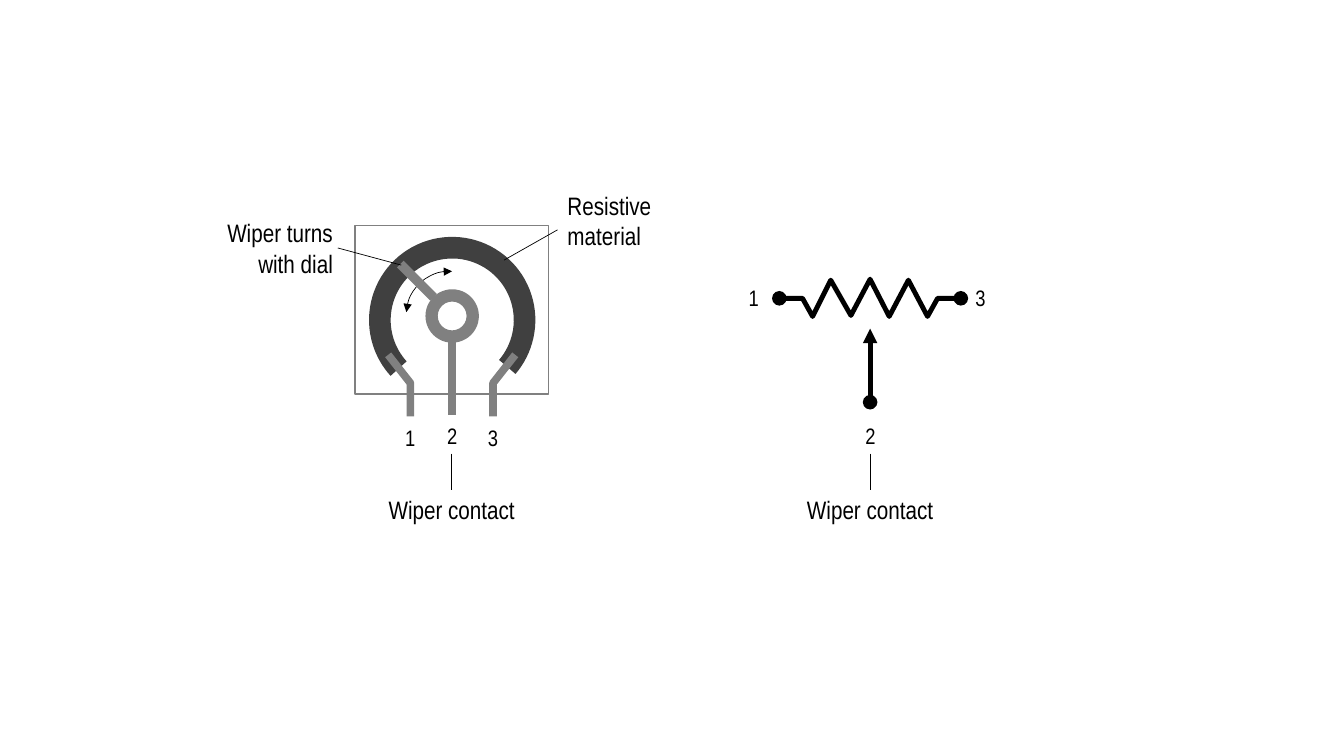
from dataclasses import dataclass

from lxml import etree
from pptx import Presentation
from pptx.dml.color import RGBColor
from pptx.enum.shapes import MSO_CONNECTOR, MSO_SHAPE
from pptx.enum.text import MSO_AUTO_SIZE, PP_ALIGN
from pptx.oxml.ns import qn
from pptx.shapes.autoshape import Shape
from pptx.shapes.connector import Connector
from pptx.shapes.shapetree import GroupShapes, SlideShapes
from pptx.util import Inches, Pt

STRAIGHT = MSO_CONNECTOR.STRAIGHT
RECTANGLE, DONUT = MSO_SHAPE.RECTANGLE, MSO_SHAPE.DONUT
ARC, BLOCK_ARC = MSO_SHAPE.ARC, MSO_SHAPE.BLOCK_ARC
LEFT, CENTER, RIGHT = PP_ALIGN.LEFT, PP_ALIGN.CENTER, PP_ALIGN.RIGHT
GROW = MSO_AUTO_SIZE.SHAPE_TO_FIT_TEXT

# The slide is a grid of 75 rows; every cell is a square.
ROWS = 75
CELL = Inches(7.5) / ROWS
DIAL_AXIS, SYMBOL_AXIS = 44.8, 86.3
PIN_GAP = 4.1
BLACK, GRAY, DARK = "000000", "808080", "404040"

Shapes = SlideShapes | GroupShapes
Point = tuple[float, float]


@dataclass(frozen=True)
class Stroke:
    color: str = BLACK
    width: float = 0.5
    head: str = ""
    tail: str = ""


@dataclass(frozen=True)
class Part:
    """A preset shape, placed in grid cells."""
    kind: MSO_SHAPE
    box: tuple[float, float, float, float]
    fill: str = ""
    stroke: Stroke | None = None
    rotation: float = 0
    adjustments: tuple[float, ...] = ()


@dataclass(frozen=True)
class Label:
    text: str
    x: float
    y: float
    width: float
    height: float = 3.7
    size: int = 16
    align: PP_ALIGN = CENTER


THIN = Stroke()
PIN = Stroke(GRAY, 5.5)
WIRE = Stroke(width=3.5, head="oval", tail="oval")
WIPER_ARROW = Stroke(width=3.5, head="oval", tail="triangle")

RESISTIVE_TRACK = Part(BLOCK_ARC, (36.6, 23.5, 16.5, 16.5), fill=DARK, rotation=42.6,
                       adjustments=(57.13, 214.69, 0.13))
DIAL_PARTS = [
    Part(RECTANGLE, (35.2, 22.4, 19.2, 16.7), stroke=Stroke(GRAY, 1)),
    Part(DONUT, (42.2, 28.7, 5.3, 5.3), fill=GRAY, adjustments=(0.23,)),
    Part(ARC, (40.3, 26.9, 8.6, 8.6), rotation=273.2,
         stroke=Stroke(head="triangle", tail="triangle")),
]
ZIGZAG = [(77.3, 29.6), (79.6, 29.6), (80.6, 31.4), (82.4, 27.8), (84.4, 31.3),
          (86.3, 27.7), (88.2, 31.4), (90.1, 27.8), (92, 31.4), (93, 29.6), (95.3, 29.6)]
CALLOUTS = [
    ((50, 25.8), (55.3, 22.8),
     Label("Resistive material", 55.3, 18.4, 11.8, 7.1, 18, LEFT)),
    ((33.5, 24.6), (39.8, 26.3),
     Label("Wiper turns with dial", 20.9, 21.1, 13.1, 7.1, 18, RIGHT)),
]


def emu(cells: float) -> int:
    return round(cells * CELL)


def rgb(color: str) -> RGBColor:
    return RGBColor.from_string(color)


def apply_stroke(shape: Shape | Connector, stroke: Stroke) -> None:
    shape.line.color.rgb = rgb(stroke.color)
    shape.line.width = Pt(stroke.width)
    ln = shape.line._get_or_add_ln()
    for tag, kind in (("a:headEnd", stroke.head), ("a:tailEnd", stroke.tail)):
        if kind:
            etree.SubElement(ln, qn(tag), type=kind)


def add_part(shapes: Shapes, part: Part) -> None:
    shape = shapes.add_shape(part.kind, *map(emu, part.box))
    shape.shadow.inherit = False
    shape.rotation = part.rotation
    for i, value in enumerate(part.adjustments):
        shape.adjustments[i] = value
    if part.fill:
        shape.fill.solid()
        shape.fill.fore_color.rgb = rgb(part.fill)
    else:
        shape.fill.background()
    if part.stroke:
        apply_stroke(shape, part.stroke)
    else:
        shape.line.fill.background()


def add_line(shapes: Shapes, start: Point, end: Point, stroke: Stroke = THIN) -> None:
    line = shapes.add_connector(STRAIGHT, *map(emu, start + end))
    apply_stroke(line, stroke)
    etree.SubElement(line._element.spPr, qn("a:effectLst"))


def add_polyline(shapes: Shapes, points: list[Point], stroke: Stroke) -> None:
    start, *rest = [(emu(x), emu(y)) for x, y in points]
    builder = shapes.build_freeform(*start)
    builder.add_line_segments(rest, close=False)
    shape = builder.convert_to_shape()
    shape.shadow.inherit = False
    shape.fill.background()
    apply_stroke(shape, stroke)


def add_label(shapes: Shapes, label: Label) -> None:
    box = (label.x, label.y, label.width, label.height)
    tf = shapes.add_textbox(*map(emu, box)).text_frame
    for name, value in {"word_wrap": True, "auto_size": GROW}.items():
        setattr(tf, name, value)
    p = tf.paragraphs[0]
    p.alignment = label.align
    r = p.add_run()
    r.text = label.text
    for name, value in {"name": "Arial Narrow", "size": Pt(label.size)}.items():
        setattr(r.font, name, value)
    r.font.color.rgb = rgb(BLACK)


def add_wiper_contact(shapes: Shapes, axis: float) -> None:
    """Terminal 2 with its leader and caption, centred on the axis."""
    add_label(shapes, Label("2", axis - 1.45, 41.4, 2.9))
    add_line(shapes, (axis, 45), (axis, 48.6))
    add_label(shapes, Label("Wiper contact", axis - 7.4, 48.6, 14.8, 4, 18))


def add_dial(shapes: Shapes) -> None:
    add_part(shapes, RESISTIVE_TRACK)
    for text, side in (("1", -1), ("3", 1)):
        pin = DIAL_AXIS + side * PIN_GAP
        bend = [(pin + side * 2.2, 35.2), (pin, 38), (pin, 41.3)]
        add_polyline(shapes, bend, PIN)
        add_label(shapes, Label(text, pin - 3.25, 41.6, 6.5))
    add_line(shapes, (DIAL_AXIS, 33.8), (DIAL_AXIS, 41.2), PIN)
    for part in DIAL_PARTS:
        add_part(shapes, part)
    add_line(shapes, (43, 29.5), (39.7, 26.2), Stroke(GRAY, 6.75))
    add_wiper_contact(shapes, DIAL_AXIS)


def add_symbol(shapes: Shapes) -> None:
    add_polyline(shapes, ZIGZAG, WIRE)
    add_line(shapes, (SYMBOL_AXIS, 39.9), (SYMBOL_AXIS, 32.6), WIPER_ARROW)
    add_wiper_contact(shapes, SYMBOL_AXIS)
    for text, x in (("1", 71.5), ("3", 94)):
        add_label(shapes, Label(text, x, 27.7, 6.5))


def main() -> None:
    prs = Presentation()
    prs.slide_width, prs.slide_height = Inches(13.33), Inches(7.5)
    s = prs.slides.add_slide(prs.slide_layouts[6])
    for draw in (add_dial, add_symbol):
        draw(s.shapes.add_group_shape().shapes)
    for start, end, label in CALLOUTS:
        add_line(s.shapes, start, end)
        add_label(s.shapes, label)
    prs.save("out.pptx")


if __name__ == "__main__":
    main()
